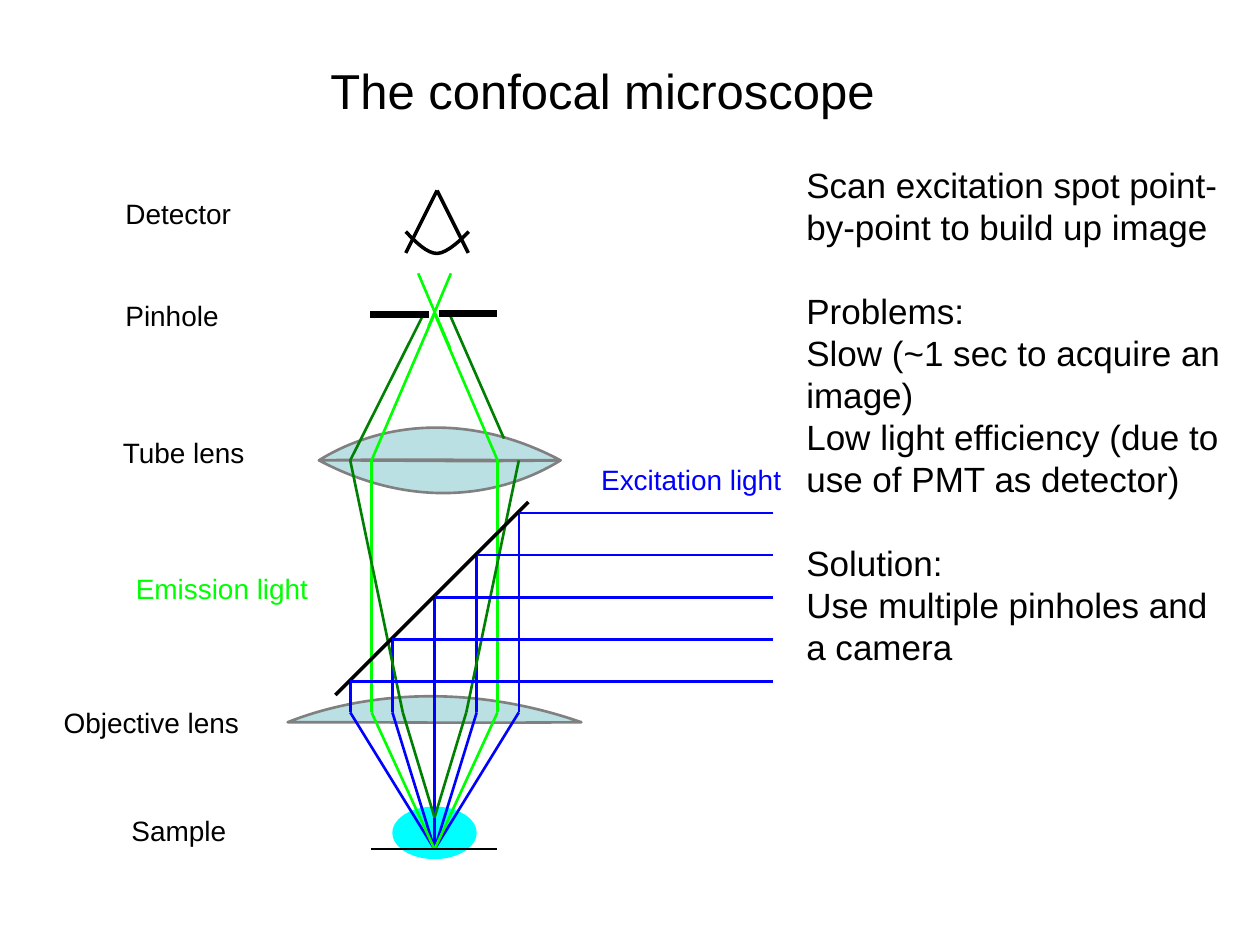
from lxml import etree
from pptx import Presentation
from pptx import util as u
from pptx.dml.color import RGBColor
from pptx.enum import shapes, text
from pptx.oxml.ns import qn

COLORS = {"black": "000000", "excitation": "0000FF", "emission": "00FF00",
          "out_of_focus": "008000", "lens": "BBE0E3", "rim": "808080",
          "sample": "00FFFF"}
LEFT, CENTER, RIGHT = (text.PP_ALIGN.LEFT, text.PP_ALIGN.CENTER,
                       text.PP_ALIGN.RIGHT)

TITLE = "The confocal microscope"
NOTES = [
    ["Scan excitation spot point-by-point to build up image"],
    ["Problems:", "Slow (~1 sec to acquire an image)",
     "Low light efficiency (due to use of PMT as detector)"],
    ["Solution:", "Use multiple pinholes and a camera"],
]
LABELS = [
    ("Detector", 2.28, 3.84, 2.64, LEFT, "black"),
    ("Pinhole", 2.28, 5.89, 2.39, LEFT, "black"),
    ("Tube lens", 2.18, 8.65, 3.0, RIGHT, "black"),
    ("Excitation light", 11.87, 9.19, 4.14, LEFT, "excitation"),
    ("Emission light", 2.49, 11.4, 3.99, LEFT, "emission"),
    ("Objective lens", 1.01, 14.1, 4.06, RIGHT, "black"),
    ("Sample", 2.4, 16.27, 2.41, RIGHT, "black"),
]

AXIS, RAY_GAP = 8.76, 0.85
PINHOLE, TUBE, MIRROR, OBJECTIVE, FOCUS = 6.32, 9.28, 12.04, 14.36, 17.12
BEAM_END = 15.59
OFFSETS = [i * RAY_GAP for i in range(-2, 3)]

OBJECTIVE_LENS = [(5.8, 14.56), (8.28, 14.56), (9.3, 14.58), (11.72, 14.56),
                  (9.3, 13.72), (7.16, 14.02), (5.8, 14.56)]
TUBE_LENS = [(6.43, 9.28), (8.46, 9.25), (9.32, 9.28), (11.3, 9.28),
             (9.32, 8.23), (7.54, 8.59), (6.43, 9.28)]
DETECTOR_ARC = [(8.18, 4.67), (8.38, 4.88), (8.61, 5.11), (8.81, 5.11),
                (9.02, 5.11), (9.35, 4.78), (9.45, 4.67)]
DETECTOR_TIP = (8.81, 3.84)
STRAY_RAYS = [((8.53, 6.35), (AXIS - 2 * RAY_GAP, TUBE)),
              ((9.07, 6.35), (10.16, 8.84))]
PINHOLE_RAYS = [((8.64, 6.58), (9.09, 5.51)), ((9.07, 7.01), (8.43, 5.51))]

prs = Presentation()
prs.slide_width, prs.slide_height = u.Cm(25.4), u.Cm(19.05)
s = prs.slides.add_slide(prs.slide_layouts[1])


def rgb(name):
    return RGBColor.from_string(COLORS[name])


def place(sp, left, top, width, height):
    sp.left, sp.top = u.Cm(left), u.Cm(top)
    sp.width, sp.height = u.Cm(width), u.Cm(height)


def style(p, size, color, align=LEFT):
    p.alignment = align
    for r in p.runs:
        r.font.size, r.font.name = u.Pt(size), "Arial"
        r.font.color.rgb = rgb(color)


def line(start, end, color, width=1.5):
    c = s.shapes.add_connector(shapes.MSO_CONNECTOR.STRAIGHT,
                               *(u.Cm(v) for v in (*start, *end)))
    c.line.color.rgb, c.line.width = rgb(color), u.Pt(width)
    etree.SubElement(c._element.spPr, qn("a:effectLst"))


def polyline(points, color):
    for start, end in zip(points, points[1:]):
        line(start, end, color)


def curve(points, color, width, fill=None):
    first, *rest = [(u.Cm(x), u.Cm(y)) for x, y in points]
    fb = s.shapes.build_freeform(*first)
    fb.add_line_segments(rest, close=False)
    sp = fb.convert_to_shape()
    segments = list(sp._element.iter(qn("a:lnTo")))
    for i in range(0, len(segments), 3):
        bezier = etree.SubElement(segments[i].getparent(),
                                  qn("a:cubicBezTo"))
        for segment in segments[i:i + 3]:
            bezier.append(segment[0])
            segment.getparent().remove(segment)
    sp.shadow.inherit = False
    sp.line.color.rgb, sp.line.width = rgb(color), u.Pt(width)
    if fill:
        sp.fill.solid()
        sp.fill.fore_color.rgb = rgb(fill)
    else:
        sp.fill.background()
    return sp


def add_title():
    sp = s.shapes.title
    place(sp, 6.39, 1.09, 11.51, 1.45)
    tf = sp.text_frame
    tf.text = TITLE
    tf.word_wrap, tf.auto_size = False, text.MSO_AUTO_SIZE.NONE
    style(tf.paragraphs[0], 28, "black", CENTER)


def add_notes():
    sp = s.placeholders[1]
    place(sp, 16, 3.16, 9.14, 10.41)
    tf = sp.text_frame
    tf.auto_size = text.MSO_AUTO_SIZE.NONE
    tf.text = "\n".join(item for group in NOTES for item in group)
    heads = [group[0] for group in NOTES[1:]]
    for p in tf.paragraphs:
        pPr = p._p.get_or_add_pPr()
        pPr.set("marL", "0")
        pPr.set("indent", "0")
        etree.SubElement(pPr, qn("a:buNone"))
        p.line_spacing = u.Pt(24)
        p.space_before = u.Pt(24 if p.text in heads else 0)
        style(p, 20, "black")


def add_label(words, left, top, width, align, color):
    tf = s.shapes.add_textbox(u.Cm(left), u.Cm(top), u.Cm(width),
                              u.Cm(0.94)).text_frame
    tf.word_wrap = False
    tf.text = words
    style(tf.paragraphs[0], 16, color, align)


add_title()
add_notes()
curve(OBJECTIVE_LENS, "rim", 1.5, "lens")
sample = s.shapes.add_shape(shapes.MSO_SHAPE.OVAL, u.Cm(7.91), u.Cm(16.26),
                            u.Cm(1.7), u.Cm(1.06))
sample.shadow.inherit = False
sample.fill.solid()
sample.fill.fore_color.rgb = rgb("sample")
sample.line.fill.background()

for dx in OFFSETS:
    x = AXIS + dx
    polyline([(x, MIRROR - dx), (x, OBJECTIVE), (AXIS, FOCUS)], "excitation")

curve(TUBE_LENS, "rim", 1.5, "lens")
lower = curve(TUBE_LENS, "rim", 1.5, "lens")
lower.top += lower.height
lower.rotation = 180

for side in (-1, 1):
    edge = AXIS + side * 1.27
    polyline([(AXIS, FOCUS), (edge, OBJECTIVE), (edge, TUBE),
              (AXIS, PINHOLE)], "emission")
    polyline([(AXIS, 16.48), (AXIS + side * 0.64, OBJECTIVE),
              (AXIS + side * 2 * RAY_GAP, TUBE)], "out_of_focus")
for start, end in STRAY_RAYS:
    line(start, end, "out_of_focus")

line((7.48, FOCUS), (10.02, FOCUS), "black", 1)
line((8.84, PINHOLE), (10.02, PINHOLE), "black", 4)
line((6.76, 14.01), (10.65, 10.12), "black", 2)
for dx in OFFSETS:
    line((AXIS + dx, MIRROR - dx), (BEAM_END, MIRROR - dx), "excitation")
line((7.46, 6.34), (8.64, 6.34), "black", 4)
for start, end in PINHOLE_RAYS:
    line(start, end, "emission")

for side in (-1, 1):
    line(DETECTOR_TIP, (DETECTOR_TIP[0] + side * 0.63, 5.1), "black", 2)
curve(DETECTOR_ARC, "black", 2)

for label in LABELS:
    add_label(*label)

prs.save("out.pptx")
